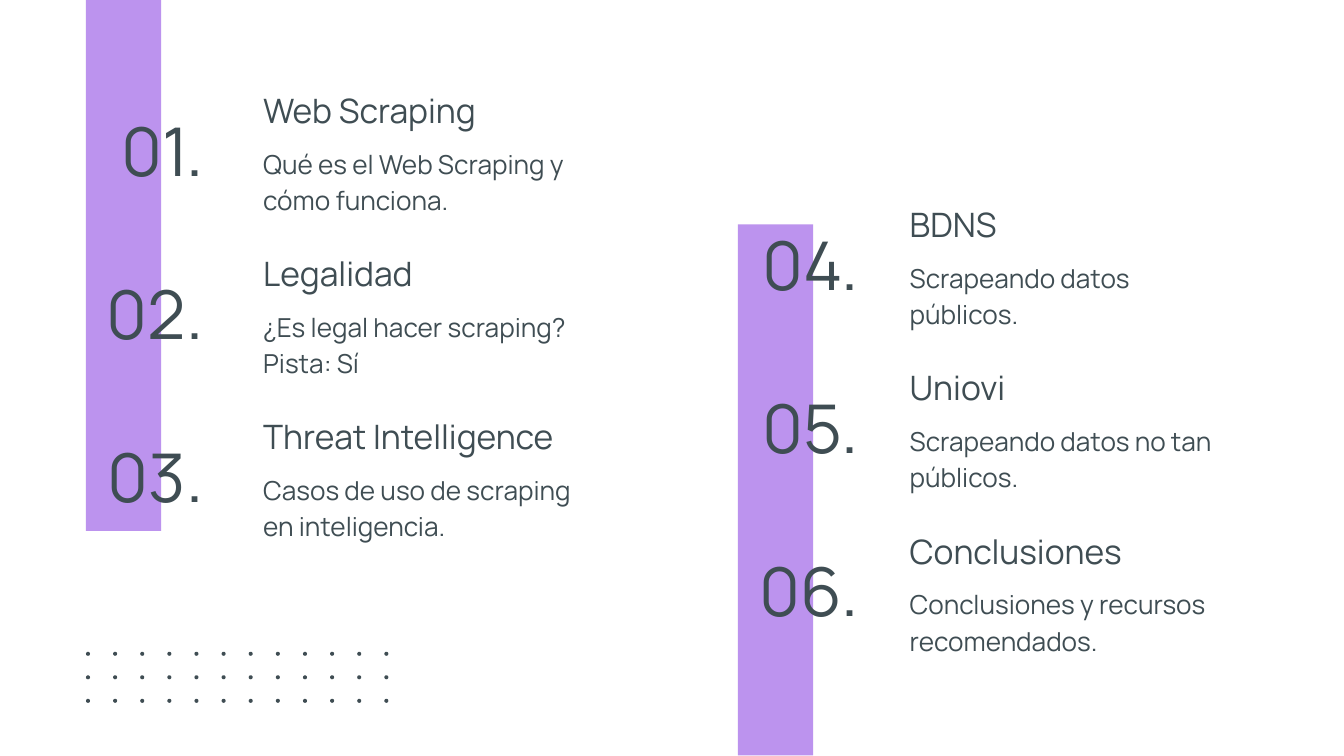
from pptx import Presentation
from pptx.dml.color import RGBColor
from pptx.enum.shapes import MSO_SHAPE
from pptx.enum.text import MSO_ANCHOR, PP_ALIGN
from pptx.util import Inches, Pt

COLORS = {"background": "FFFFFF", "bar": "BC93EE", "ink": "3F4D53"}
FONT = "Manrope"

LEFT_TOPICS = [
    ("01.", "Web Scraping", "Qué es el Web Scraping y cómo funciona."),
    ("02.", "Legalidad", "¿Es legal hacer scraping? Pista: Sí"),
    ("03.", "Threat Intelligence", "Casos de uso de scraping en inteligencia."),
]
RIGHT_TOPICS = [
    ("04.", "BDNS", "Scrapeando datos públicos."),
    ("05.", "Uniovi", "Scrapeando datos no tan públicos."),
    ("06.", "Conclusiones", "Conclusiones y recursos recomendados."),
]


def add_filled_shape(shapes, kind, left, top, width, height, color):
    shape = shapes.add_shape(
        kind, Inches(left), Inches(top), Inches(width), Inches(height))
    shape.shadow.inherit = False
    shape.fill.solid()
    shape.fill.fore_color.rgb = RGBColor.from_string(COLORS[color])
    shape.line.fill.background()


def add_text(slide, text, left, top, width, height, size, anchor=MSO_ANCHOR.TOP):
    """Add a one-paragraph text box and return its paragraph."""
    box = slide.shapes.add_textbox(
        Inches(left), Inches(top), Inches(width), Inches(height))
    text_frame = box.text_frame
    text_frame.word_wrap = True
    text_frame.vertical_anchor = anchor
    text_frame.margin_left = text_frame.margin_right = Inches(0.1)
    text_frame.margin_top = text_frame.margin_bottom = Inches(0.1)
    text_frame.text = text
    paragraph = text_frame.paragraphs[0]
    font = paragraph.runs[0].font
    font.name = FONT
    font.size = Pt(size)
    font.color.rgb = RGBColor.from_string(COLORS["ink"])
    return paragraph


def add_topics(slide, topics, left, top, width, height):
    """Stack topics: number at the left edge, title ending at the right edge."""
    title_width = 3.01
    text_left = left + width - title_width
    pitch = height / len(topics)
    for row, (number, title, description) in enumerate(topics):
        row_top = top + row * pitch
        paragraph = add_text(slide, number, left, row_top + 0.35, 1.44, 0.59,
                             36, MSO_ANCHOR.BOTTOM)
        paragraph.alignment = PP_ALIGN.RIGHT
        add_text(slide, title, text_left, row_top, title_width, 0.48, 18)
        paragraph = add_text(slide, description, text_left, row_top + 0.4,
                             2.64, 0.48, 14)
        paragraph.line_spacing = 1.15
        paragraph.space_after = Pt(16)


def add_dot_grid(slide, left, top, width, height, columns=12, rows=3, dot=0.03):
    group = slide.shapes.add_group_shape()
    column_pitch = (width - dot) / (columns - 1)
    row_pitch = (height - dot) / (rows - 1)
    for row in range(rows):
        for column in range(columns):
            add_filled_shape(group.shapes, MSO_SHAPE.OVAL,
                             left + column * column_pitch,
                             top + row * row_pitch, dot, dot, "ink")


def main():
    presentation = Presentation()
    presentation.slide_width = Inches(10)
    presentation.slide_height = presentation.slide_width * 9 // 16
    slide = presentation.slides.add_slide(presentation.slide_layouts[6])
    slide.background.fill.solid()
    slide.background.fill.fore_color.rgb = RGBColor.from_string(COLORS["background"])

    for left, top in ((0.64, 0), (5.49, 1.67)):
        add_filled_shape(slide.shapes, MSO_SHAPE.RECTANGLE,
                         left, top, 0.56, 3.95, "bar")
    add_topics(slide, LEFT_TOPICS, 0.17, 0.57, 4.7, 3.64)
    add_topics(slide, RIGHT_TOPICS, 5.05, 1.42, 4.63, 3.64)
    add_dot_grid(slide, 0.64, 4.85, 2.25, 0.38)

    presentation.save("out.pptx")


if __name__ == "__main__":
    main()
